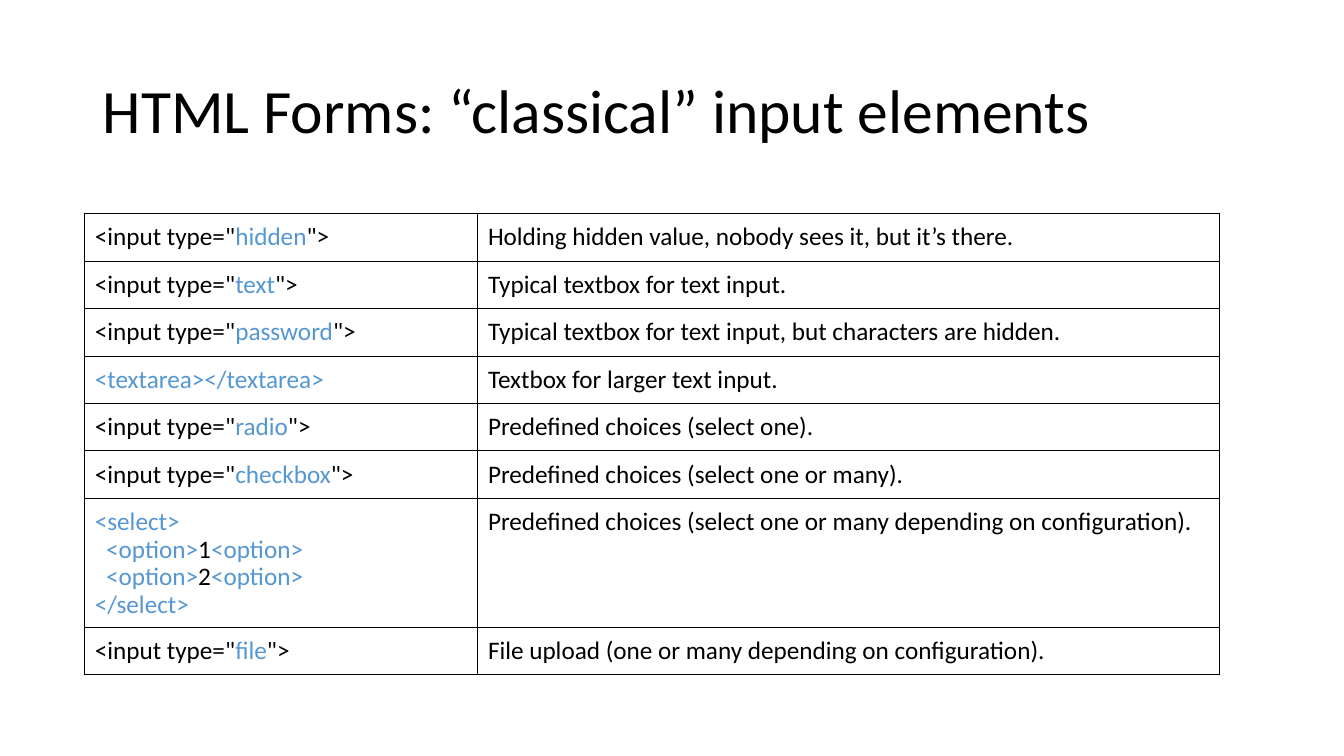
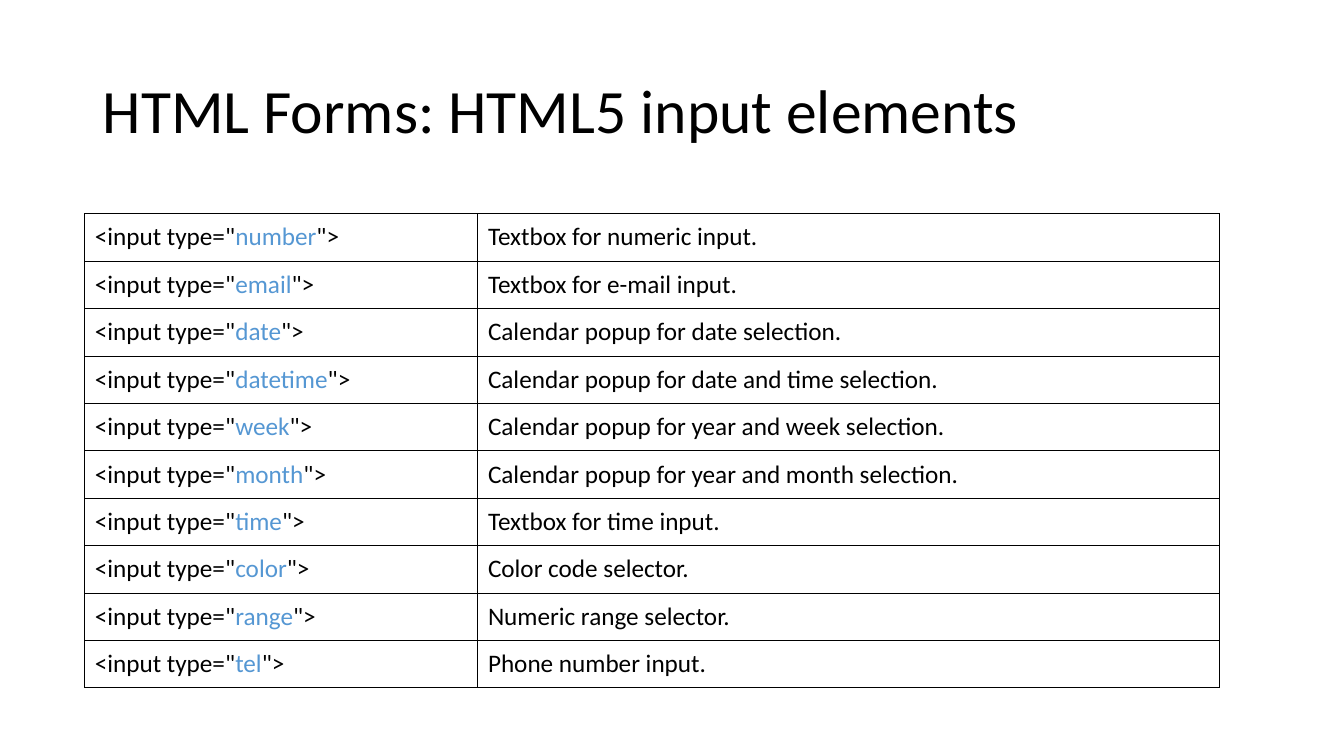
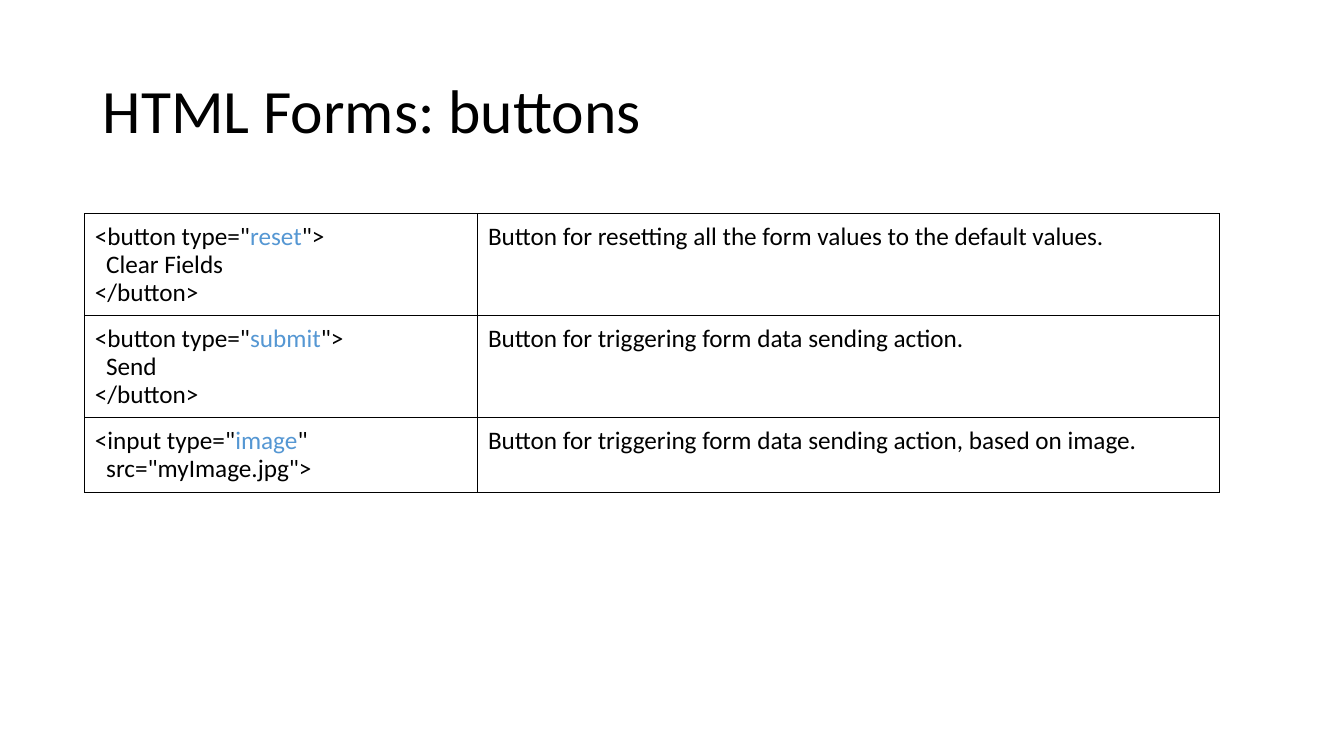
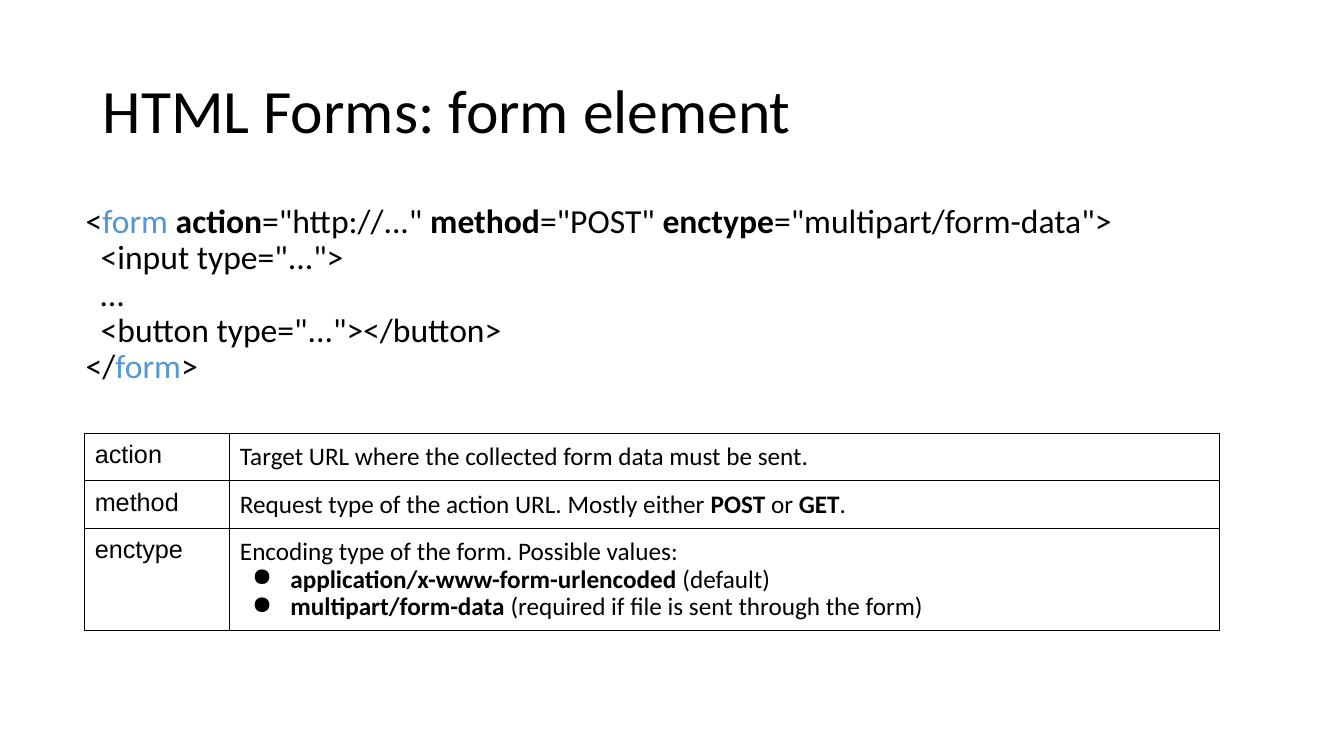
from dataclasses import dataclass

from lxml.etree import SubElement
from pptx import Presentation
from pptx.dml.color import RGBColor
from pptx.enum.text import MSO_ANCHOR
from pptx.oxml.ns import qn
from pptx.util import Inches, Pt

BLACK = RGBColor(0x00, 0x00, 0x00)
BLUE = RGBColor(0x55, 0x97, 0xD3)
BODY_FONT = "Calibri"
NAME_FONT = "Arial"

# Boxes in inches: left, top, width, height
TITLE_BOX = (0.92, 0.4, 11.5, 1.45)
CODE_BOX = (0.75, 1.93, 11.25, 2.12)
TABLE_LEFT, TABLE_TOP = 0.84, 2.12
ROW_HEIGHT = 0.42
ELEMENT_COLS = (3.9, 7.35)
ATTRIBUTE_COLS = (1.44, 9.81)
PADDING = 0.1


@dataclass
class Run:
    text: str
    color: RGBColor = BLACK
    bold: bool = False
    font: str = BODY_FONT


@dataclass
class Para:
    runs: list
    nested: bool = False
    bullet: bool = False


def line(*parts, **layout):
    """A paragraph of plain strings and styled runs."""
    return Para([Run(x) if isinstance(x, str) else x for x in parts], **layout)


def blue(text):
    return Run(text, color=BLUE)


def bold(text):
    return Run(text, bold=True)


def tag(name, value, end='">'):
    return line(f'<{name} type="', blue(value), end)


def input_row(value, description):
    return [tag("input", value)], [line(description)]


def button_row(value, label, description):
    code = [tag("button", value), line(label, nested=True), line("</button>")]
    return code, [line(description)]


def attribute_row(name, *description):
    return [line(Run(name, font=NAME_FONT))], description


# Text shared by boxes and cells
def add_bullet(p):
    pPr = p._p.get_or_add_pPr()
    pPr.set("marL", str(Inches(0.5)))
    pPr.set("indent", str(Inches(-0.38)))
    SubElement(pPr, qn("a:buChar"), char="●")


def write(tf, paras, size):
    tf.word_wrap = True
    for i, para in enumerate(paras):
        p = tf.paragraphs[0] if i == 0 else tf.add_paragraph()
        p.line_spacing = 0.9
        if para.nested:
            p._p.get_or_add_pPr().set("marL", str(Pt(size * 0.45)))
        if para.bullet:
            add_bullet(p)
        for run in para.runs:
            r = p.add_run()
            r.text = run.text
            r.font.size = Pt(size)
            r.font.name = run.font
            r.font.bold = run.bold
            r.font.color.rgb = run.color


def set_margins(frame, side, vertical):
    frame.margin_left = frame.margin_right = Inches(side)
    frame.margin_top = frame.margin_bottom = Inches(vertical)


def add_text(s, box, paras, size, vertical=PADDING, anchor=MSO_ANCHOR.TOP):
    tf = s.shapes.add_textbox(*map(Inches, box)).text_frame
    set_margins(tf, PADDING, vertical)
    tf.vertical_anchor = anchor
    write(tf, paras, size)


# Table with thin black rules and no fill
def add_borders(cell):
    tcPr = cell._tc.get_or_add_tcPr()
    for side in ("lnL", "lnR", "lnT", "lnB"):
        ln = SubElement(tcPr, qn(f"a:{side}"), w=str(Pt(0.75)))
        fill = SubElement(ln, qn("a:solidFill"))
        SubElement(fill, qn("a:srgbClr"), val=str(BLACK))


def add_grid(s, top, cols, rows):
    box = (TABLE_LEFT, top, sum(cols), ROW_HEIGHT * len(rows))
    table = s.shapes.add_table(len(rows), len(cols), *map(Inches, box)).table
    table.first_row = table.horz_banding = False
    for column, width in zip(table.columns, cols):
        column.width = Inches(width)
    for i, row in enumerate(rows):
        table.rows[i].height = Inches(ROW_HEIGHT)
        for j, paras in enumerate(row):
            cell = table.cell(i, j)
            set_margins(cell, PADDING, PADDING)
            add_borders(cell)
            cell.fill.background()
            write(cell.text_frame, paras, 18)


# Slide types
def titled_slide(prs, title):
    s = prs.slides.add_slide(prs.slide_layouts[6])
    add_text(s, TITLE_BOX, [line(title)], 44, 0.05, MSO_ANCHOR.MIDDLE)
    return s


def element_slide(prs, title, rows):
    s = titled_slide(prs, title)
    add_grid(s, TABLE_TOP, ELEMENT_COLS, rows)


def form_slide(prs, title, code, rows):
    s = titled_slide(prs, title)
    add_grid(s, 4.3, ATTRIBUTE_COLS, rows)
    add_text(s, CODE_BOX, code, 24)


# Slide content
SELECT_CODE = [
    line(blue("<select>")),
    *[line(blue("<option>"), n, blue("<option>"), nested=True) for n in "12"],
    line(blue("</select>")),
]
CLASSICAL = [
    input_row("hidden", "Holding hidden value, nobody sees it, but it’s there."),
    input_row("text", "Typical textbox for text input."),
    input_row("password", "Typical textbox for text input, but characters are hidden."),
    ([line(blue("<textarea></textarea>"))], [line("Textbox for larger text input.")]),
    input_row("radio", "Predefined choices (select one)."),
    input_row("checkbox", "Predefined choices (select one or many)."),
    (SELECT_CODE,
     [line("Predefined choices (select one or many depending on configuration).")]),
    input_row("file", "File upload (one or many depending on configuration)."),
]
HTML5 = [
    input_row("number", "Textbox for numeric input."),
    input_row("email", "Textbox for e-mail input."),
    input_row("date", "Calendar popup for date selection."),
    input_row("datetime", "Calendar popup for date and time selection."),
    input_row("week", "Calendar popup for year and week selection."),
    input_row("month", "Calendar popup for year and month selection."),
    input_row("time", "Textbox for time input."),
    input_row("color", "Color code selector."),
    input_row("range", "Numeric range selector."),
    input_row("tel", "Phone number input."),
]
BUTTONS = [
    button_row("reset", "Clear Fields",
               "Button for resetting all the form values to the default values."),
    button_row("submit", "Send", "Button for triggering form data sending action."),
    ([tag("input", "image", '"'), line('src="myImage.jpg">', nested=True)],
     [line("Button for triggering form data sending action, based on image.")]),
]
FORM_CODE = [
    line("<", blue("form "), bold("action"), '="http://..." ', bold("method"),
         '="POST" ', bold("enctype"), '="multipart/form-data">'),
    line('<input type="...">', nested=True),
    line("…", nested=True),
    line('<button type="..."></button>', nested=True),
    line("</", blue("form"), ">"),
]
ATTRIBUTES = [
    attribute_row("action",
                  line("Target URL where the collected form data must be sent.")),
    attribute_row("method",
                  line("Request type of the action URL. Mostly either ",
                       bold("POST"), " or ", bold("GET"), ".")),
    attribute_row("enctype",
                  line("Encoding type of the form. Possible values:"),
                  line(bold("application/x-www-form-urlencoded"), " (default)",
                       bullet=True),
                  line(bold("multipart/form-data"),
                       " (required if file is sent through the form)", bullet=True)),
]

prs = Presentation()
prs.slide_width, prs.slide_height = Inches(13.33), Inches(7.5)
element_slide(prs, "HTML Forms: “classical” input elements", CLASSICAL)
element_slide(prs, "HTML Forms: HTML5 input elements", HTML5)
element_slide(prs, "HTML Forms: buttons", BUTTONS)
form_slide(prs, "HTML Forms: form element", FORM_CODE, ATTRIBUTES)
prs.save("out.pptx")
